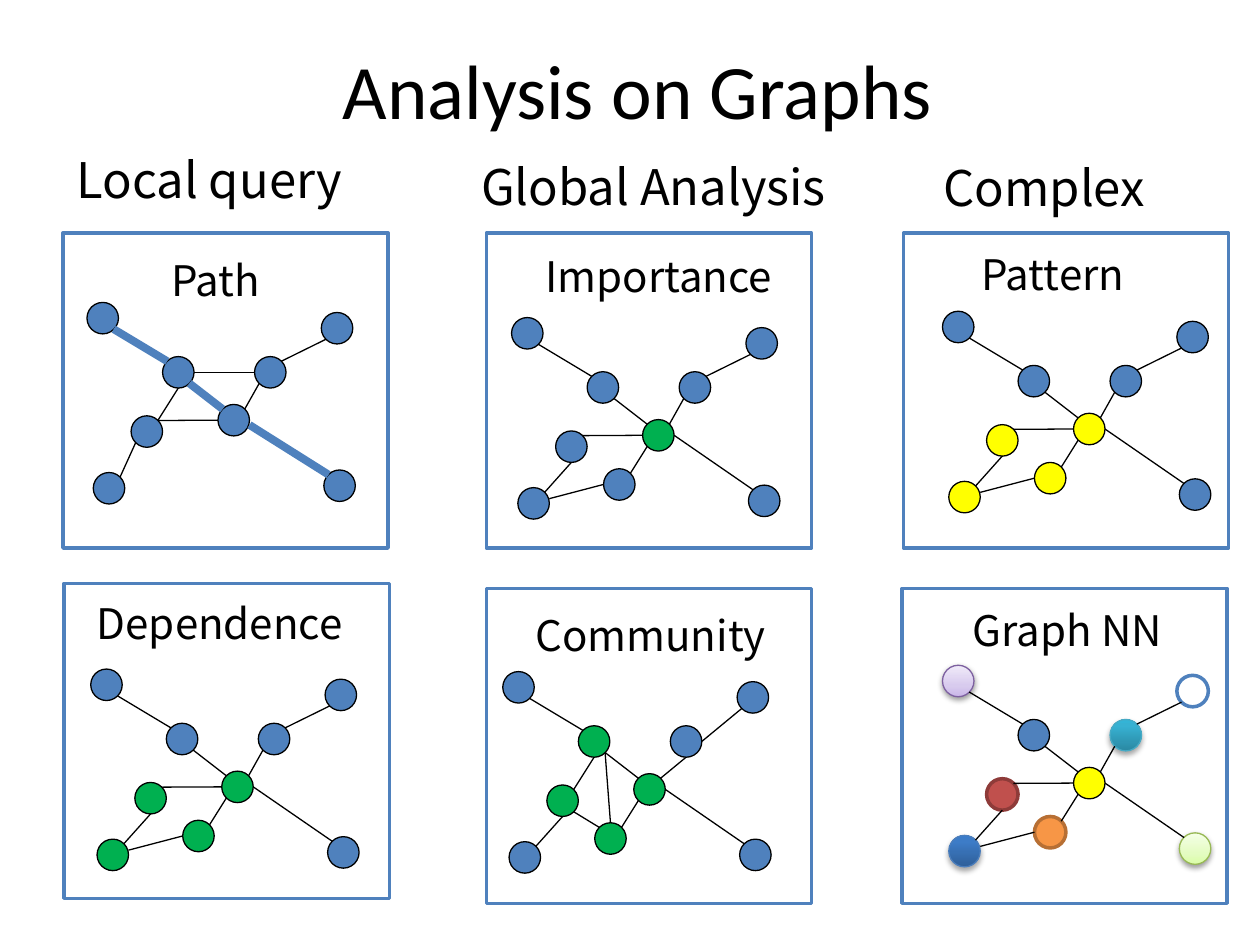
from lxml.etree import SubElement
from pptx import Presentation
from pptx.dml.color import RGBColor
from pptx.enum.shapes import MSO_CONNECTOR, MSO_SHAPE
from pptx.enum.text import MSO_ANCHOR, MSO_AUTO_SIZE, PP_ALIGN
from pptx.oxml.ns import qn
from pptx.util import Emu, Pt

PX = 9144  # 100 px to the inch
BLUE, GREEN, YELLOW = "4F81BD", "00B050", "FFFF00"
BLACK, WHITE = "000000", "FFFFFF"
LABEL_FONT = "Noto Sans CJK SC"
PANEL_SIZE = (258, 250)
NODE = 25

# Node corners, measured from the corner of the north-west node
NODES = {
    "nw": (0, 0), "ne": (186, 8), "sw": (5, 135), "se": (188, 133),
    "upper_left": (60, 43), "upper_right": (133, 43),
    "hub": (104, 81), "left": (35, 90), "bottom": (73, 120),
}
# Points on a node's outline, as shares of its size
PORTS = {
    "n": (0.5, 0), "e": (1, 0.5), "s": (0.5, 1), "w": (0, 0.5),
    "nw": (0.15, 0.15), "ne": (0.85, 0.15), "sw": (0.15, 0.85), "se": (0.85, 0.85),
    "e_high": (1, 0.35), "e_low": (1, 0.65),
}
# Edges: node, port, node, port
ARM_NW = ("nw", "se", "upper_left", "nw")
ARM_NE = ("ne", "sw", "upper_right", "ne")
ARM_SE = ("se", "nw", "hub", "e")
ARM_SW = ("sw", "ne", "left", "s")
INNER_NW = ("upper_left", "se", "hub", "nw")
INNER_NE = ("upper_right", "sw", "hub", "ne")
HUB_LEFT = ("hub", "w", "left", "ne")
HUB_BOTTOM = ("bottom", "ne", "hub", "sw")

STAR_EDGES = [ARM_NW, ARM_NE, ARM_SE, ARM_SW, INNER_NW, INNER_NE, HUB_LEFT,
              HUB_BOTTOM, ("sw", "e_high", "bottom", "w")]
ROUTE = [ARM_NW, INNER_NW, ("hub", "e_low", "se", "nw")]
PATH_EDGES = ROUTE + [ARM_NE, INNER_NE, HUB_LEFT, ("sw", "ne", "left", "sw"),
                      ("left", "ne", "upper_left", "s"),
                      ("upper_right", "w", "upper_left", "e")]
COMMUNITY_EDGES = [ARM_NW, ARM_SE, ARM_SW, INNER_NW, HUB_BOTTOM,
                   ("upper_left", "s", "left", "ne"), ("left", "se", "bottom", "nw"),
                   ("upper_right", "s", "hub", "ne"), ("ne", "sw", "upper_right", "e"),
                   ("upper_left", "se", "bottom", "n")]

# Node styles: fill (one colour or gradient stops), line colour, line width
PLAIN = (BLUE, BLACK, 0.75)
SOFT_SHADOW, STRONG_SHADOW = (38, 20000), (35, 23000)  # opacity, distance in EMU
FEATURES = {
    "hub": (YELLOW, BLACK, 0.75),
    "left": ("C0504D", "8E3B39", 2),
    "bottom": ("F79646", "B76F34", 2),
    "ne": (WHITE, BLUE, 2),
    "upper_right": ([(0, "2A88A2"), (80, "37B1D2"), (100, "34B4D6")], "46AAC5", 0.75),
    "se": ([(0, "DAFDA7"), (35, "E4FCC2"), (100, "F5FFE7")], "98B955", 0.75),
    "nw": ([(0, "C9B5E8"), (35, "D8CBEE"), (100, "F0EAF9")], "7D60A0", 0.75),
    "sw": ([(0, "2F5F99"), (80, "3D7CC7"), (100, "3A7CCB")], "4B7EBC", 0.75),
}
SHADOWS = {"upper_right": STRONG_SHADOW, "sw": STRONG_SHADOW,
           "se": SOFT_SHADOW, "nw": SOFT_SHADOW}


def px(value):
    return Emu(round(value * PX))


def color(code):
    return RGBColor.from_string(code)


def highlight(fill, *names):
    return {name: (fill, BLACK, 0.75) for name in names}


def add_label(shapes, text, at, size, font=LABEL_FONT):
    """Add a one-line label whose box grows with its text."""
    box = shapes.add_textbox(*map(px, at))
    frame = box.text_frame
    frame.word_wrap = False
    frame.auto_size = MSO_AUTO_SIZE.SHAPE_TO_FIT_TEXT
    span = frame.paragraphs[0].add_run()
    span.text = text
    span.font.name = font
    span.font.size = Pt(size)
    span.font.color.rgb = color(BLACK)
    return frame


def add_title(page, text):
    frame = add_label(page.shapes, text, (56, 8, 900, 125), 44, "Calibri")
    frame.auto_size = MSO_AUTO_SIZE.NONE
    frame.word_wrap = True
    frame.vertical_anchor = MSO_ANCHOR.MIDDLE
    frame.paragraphs[0].alignment = PP_ALIGN.CENTER


def fill_gradient(shape, stops):
    """Fill from bottom to top through the given stops."""
    shape.fill.gradient()
    shape.fill.gradient_angle = 90
    stop_list = shape.element.spPr.find(qn("a:gradFill")).find(qn("a:gsLst"))
    for old in list(stop_list):
        stop_list.remove(old)
    for percent, code in stops:
        stop = SubElement(stop_list, qn("a:gs"), pos=str(percent * 1000))
        SubElement(stop, qn("a:srgbClr"), val=code)


def add_shadow(shape, opacity, distance):
    effects = shape.element.spPr.find(qn("a:effectLst"))
    shadow = SubElement(effects, qn("a:outerShdw"), blurRad="40000", dist=str(distance),
                        dir="5400000", rotWithShape="0")
    tone = SubElement(shadow, qn("a:srgbClr"), val=BLACK)
    SubElement(tone, qn("a:alpha"), val=str(opacity * 1000))


def add_figure(shapes, kind, at, style):
    """Add an outlined shape in a (fill, line colour, line width) style."""
    fill, line, width = style
    shape = shapes.add_shape(kind, *map(px, at))
    shape.shadow.inherit = False
    if isinstance(fill, str):
        shape.fill.solid()
        shape.fill.fore_color.rgb = color(fill)
    else:
        fill_gradient(shape, fill)
    shape.line.color.rgb = color(line)
    shape.line.width = Pt(width)
    return shape


def port_point(origin, node, port):
    return [px(start + corner + share * NODE)
            for start, corner, share in zip(origin, NODES[node], PORTS[port])]


def add_edge(shapes, origin, edge, thick):
    start, start_port, end, end_port = edge
    line = shapes.add_connector(MSO_CONNECTOR.STRAIGHT,
                                *port_point(origin, start, start_port),
                                *port_point(origin, end, end_port))
    line.line.color.rgb = color(BLUE if thick else BLACK)
    line.line.width = Pt(4.5 if thick else 0.75)
    SubElement(line.element.spPr, qn("a:effectLst"))


def add_panel(page, corner, label, label_at, origin, edges, styles, route=(), shadows=None):
    """Add a framed, labelled graph; only nodes that have edges are drawn."""
    shapes = page.shapes.add_group_shape().shapes
    add_figure(shapes, MSO_SHAPE.RECTANGLE, (*corner, *PANEL_SIZE), (WHITE, BLUE, 2))
    add_label(shapes, label, label_at, 24)
    used = {name for edge in edges for name in (edge[0], edge[2])}
    for name, (x, y) in NODES.items():
        if name in used:
            node = add_figure(shapes, MSO_SHAPE.OVAL,
                              (origin[0] + x, origin[1] + y, NODE, NODE),
                              styles.get(name, PLAIN))
            if shadows and name in shadows:
                add_shadow(node, *shadows[name])
    for edge in edges:
        add_edge(shapes, origin, edge, edge in route)


def main():
    deck = Presentation()
    deck.slide_width, deck.slide_height = px(1000), px(750)
    page = deck.slides.add_slide(deck.slide_layouts[6])
    add_title(page, "Analysis on Graphs")
    add_panel(page, (386, 185), "Importance", (423, 194, 213, 50), (406, 252),
              STAR_EDGES, highlight(GREEN, "hub"))
    add_panel(page, (50, 185), "Path", (126, 197, 95, 50), (69, 240),
              PATH_EDGES, {}, ROUTE)
    add_panel(page, (386, 467), "Community", (415, 479, 218, 50), (399, 533),
              COMMUNITY_EDGES, highlight(GREEN, "upper_left", "hub", "left", "bottom"))
    add_panel(page, (51, 463), "Dependence", (67, 469, 242, 50), (72, 531),
              STAR_EDGES, highlight(GREEN, "hub", "left", "bottom", "sw"))
    add_panel(page, (717, 185), "Pattern", (769, 192, 139, 50), (748, 247),
              STAR_EDGES, highlight(YELLOW, "hub", "left", "bottom", "sw"))
    add_panel(page, (716, 467), "Graph NN", (762, 475, 184, 50), (748, 528),
              STAR_EDGES, FEATURES, shadows=SHADOWS)
    add_label(page.shapes, "Local query", (51, 114, 243, 57), 28)
    add_label(page.shapes, "Global Analysis", (372, 119, 307, 57), 28)
    add_label(page.shapes, "Complex", (739, 120, 227, 57), 28).word_wrap = True
    deck.save("out.pptx")


if __name__ == "__main__":
    main()
